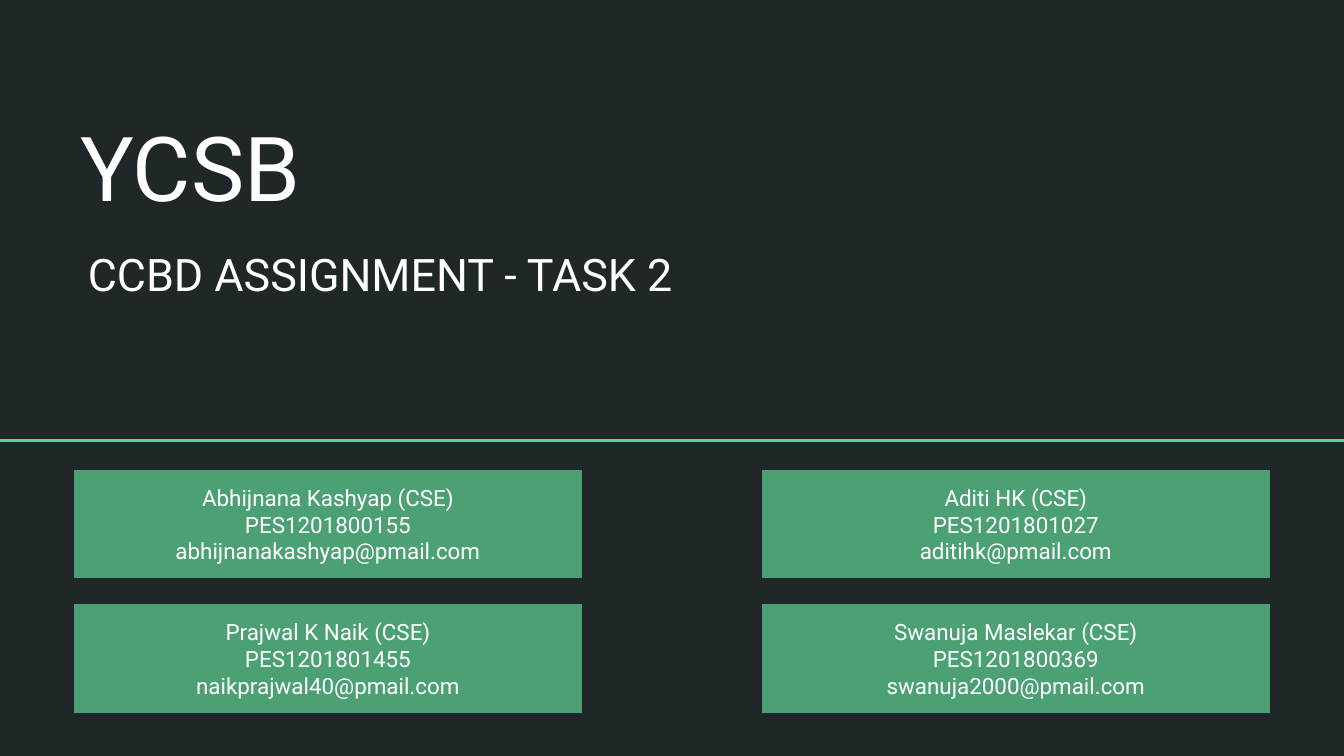
from lxml.etree import SubElement
from pptx import Presentation
from pptx.dml.color import RGBColor
from pptx.enum.shapes import MSO_CONNECTOR, MSO_SHAPE
from pptx.enum.text import MSO_ANCHOR, PP_ALIGN
from pptx.oxml.ns import qn
from pptx.util import Pt

WIDTH, HEIGHT = 720, 405
BACKGROUND, RULE, CARD, WHITE = "202729", "63D297", "4BA173", "FFFFFF"
FONT = "Roboto"
CARD_WIDTH, CARD_HEIGHT = 271.5, 57.6
CARD_LEFT, CARD_TOP = 40, 252
COLUMN_STEP, ROW_STEP = 368.5, 72
TEXT_INDENT, TEXT_HEIGHT = 5.75, 46

MEMBERS = [
    ("Abhijnana Kashyap (CSE)", "PES1201800155", "abhijnanakashyap@pmail.com"),
    ("Aditi HK (CSE)", "PES1201801027", "aditihk@pmail.com"),
    ("Prajwal K Naik (CSE)", "PES1201801455", "naikprajwal40@pmail.com"),
    ("Swanuja Maslekar (CSE)", "PES1201800369", "swanuja2000@pmail.com"),
]


def set_color(color_format, value):
    color_format.rgb = RGBColor.from_string(value)


def set_background(slide):
    fill = slide.background.fill
    fill.solid()
    set_color(fill.fore_color, BACKGROUND)


def add_text(slide, box, lines, size, align=PP_ALIGN.LEFT, anchor=MSO_ANCHOR.TOP):
    """Add a text box with one paragraph for each line."""
    frame = slide.shapes.add_textbox(*map(Pt, box)).text_frame
    frame.word_wrap = True
    frame.vertical_anchor = anchor
    frame.margin_left = frame.margin_right = Pt(7.2)
    frame.margin_top = frame.margin_bottom = Pt(7.2)
    for index, line in enumerate(lines):
        paragraph = frame.add_paragraph() if index else frame.paragraphs[0]
        paragraph.alignment = align
        run = paragraph.add_run()
        run.text = line
        run.font.name = FONT
        run.font.size = Pt(size)
        set_color(run.font.color, WHITE)


def add_divider(slide, top):
    line = slide.shapes.add_connector(
        MSO_CONNECTOR.STRAIGHT, Pt(0), Pt(top), Pt(WIDTH), Pt(top))
    set_color(line.line.color, RULE)
    line.line.width = Pt(1.5)
    SubElement(line._element.spPr, qn("a:effectLst"))


def add_card(slide, left, top):
    shape = slide.shapes.add_shape(
        MSO_SHAPE.RECTANGLE, Pt(left), Pt(top), Pt(CARD_WIDTH), Pt(CARD_HEIGHT))
    shape.shadow.inherit = False
    shape.fill.solid()
    set_color(shape.fill.fore_color, CARD)
    set_color(shape.line.color, CARD)
    shape.line.width = Pt(0.75)


def add_member(slide, index, lines):
    """Place a card and its text in a grid of two columns."""
    row, column = divmod(index, 2)
    left = CARD_LEFT + column * COLUMN_STEP
    top = CARD_TOP + row * ROW_STEP
    add_card(slide, left, top)
    box = (left + TEXT_INDENT, top, CARD_WIDTH - 2 * TEXT_INDENT, TEXT_HEIGHT)
    add_text(slide, box, lines, 12, PP_ALIGN.CENTER)


def main():
    presentation = Presentation()
    presentation.slide_width, presentation.slide_height = Pt(WIDTH), Pt(HEIGHT)
    slide = presentation.slides.add_slide(presentation.slide_layouts[6])
    set_background(slide)
    add_divider(slide, 236)
    add_text(slide, (36, 67.5, 639.5, 57.5), ["YCSB"], 48, anchor=MSO_ANCHOR.BOTTOM)
    add_text(slide, (40, 125, 639.5, 50), ["CCBD ASSIGNMENT - TASK 2"], 24)
    for index, lines in enumerate(MEMBERS):
        add_member(slide, index, lines)
    presentation.save("out.pptx")


if __name__ == "__main__":
    main()
